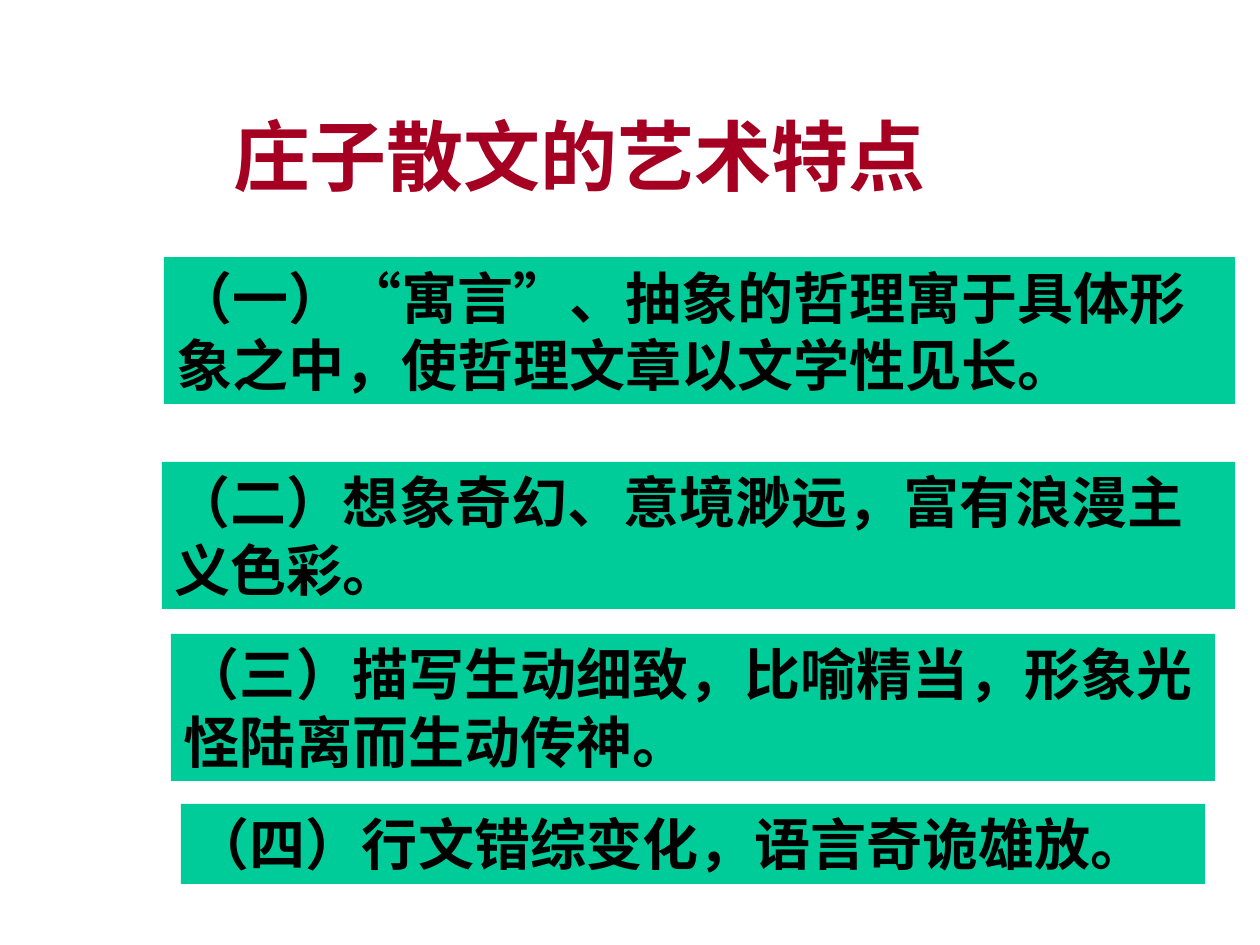
from pptx import Presentation
from pptx.dml.color import RGBColor
from pptx.enum.shapes import MSO_SHAPE
from pptx.enum.text import MSO_ANCHOR, MSO_AUTO_SIZE, PP_ALIGN
from pptx.oxml.ns import qn
from pptx.util import Pt
from lxml.etree import SubElement

PX = 914400 // 126
CJK, LATIN = "Noto Sans CJK JP", "Times New Roman"
RED = RGBColor(0xA5, 0x00, 0x21)
GREEN = RGBColor(0x00, 0xCC, 0x99)
BLACK = RGBColor(0x00, 0x00, 0x00)

TITLE = "庄子散文的艺术特点"
TITLE_BOX = (220, 102, 796, 106)
POINTS = [
    ((164, 257, 1071, 147),
     ["（一）", "“", "寓言", "”", "、抽象的哲理寓于具体形象之中，使哲理文章以文学性见长。"]),
    ((162, 462, 1073, 147), ["（二）想象奇幻、意境渺远，富有浪漫主义色彩。"]),
    ((171, 634, 1044, 147), ["（三）描写生动细致，比喻精当，形象光怪陆离而生动传神。"]),
    ((181, 804, 1024, 80), ["（四）行文错综变化，语言奇诡雄放。"]),
]


def place(sp, box):
    sp.left, sp.top, sp.width, sp.height = (v * PX for v in box)


def write(sp, pieces, size, color, align):
    """Fill a shape with one bold paragraph, one run for each piece."""
    tf = sp.text_frame
    tf.word_wrap = True
    tf.auto_size = MSO_AUTO_SIZE.NONE
    tf.vertical_anchor = MSO_ANCHOR.TOP
    tf.margin_left = tf.margin_right = 13 * PX
    tf.margin_top = tf.margin_bottom = 6 * PX
    p = tf.paragraphs[0]
    p.alignment = align
    p.line_spacing = Pt(round(size * 1.2, 1))
    p.space_before = Pt(0)
    for piece in pieces:
        r = p.add_run()
        r.text = piece
        r.font.size = Pt(size)
        r.font.bold = True
        r.font.color.rgb = color
        r.font.name = LATIN if piece in "“”" else CJK
        SubElement(r.font._element, qn("a:ea")).set("typeface", CJK)


def add_title(s, box):
    sp = s.shapes.title
    place(sp, box)
    write(sp, [TITLE], 44, RED, PP_ALIGN.JUSTIFY)


def add_point(s, box, pieces):
    sp = s.shapes.add_shape(MSO_SHAPE.RECTANGLE, *(v * PX for v in box))
    sp.shadow.inherit = False
    sp.fill.solid()
    sp.fill.fore_color.rgb = GREEN
    sp.line.fill.background()
    write(sp, pieces, 32, BLACK, PP_ALIGN.LEFT)


def main():
    prs = Presentation()
    prs.slide_width, prs.slide_height = 1260 * PX, 945 * PX
    s = prs.slides.add_slide(prs.slide_layouts[5])
    add_title(s, TITLE_BOX)
    for box, pieces in POINTS:
        add_point(s, box, pieces)
    prs.save("out.pptx")


if __name__ == "__main__":
    main()
